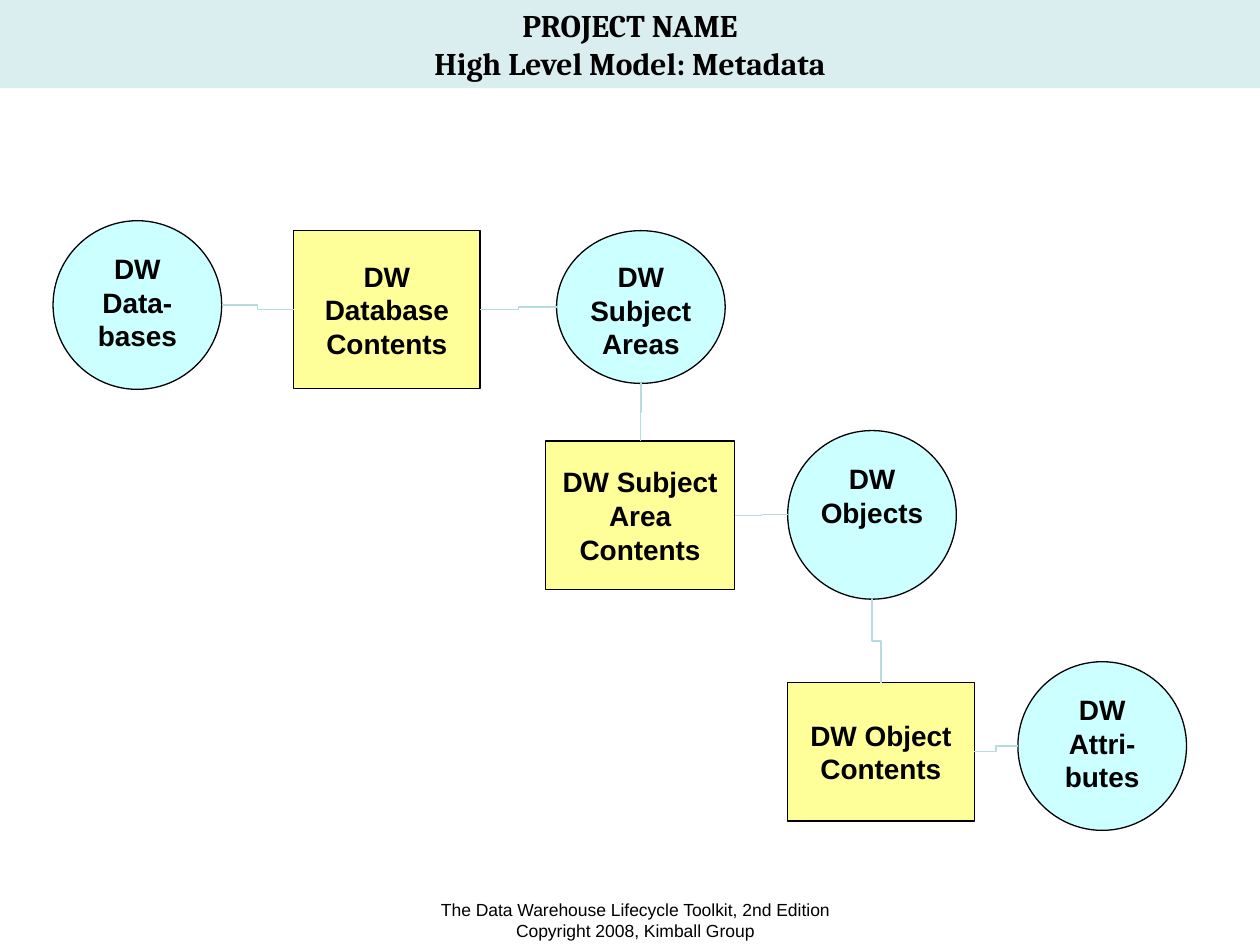
from pptx import Presentation
from pptx import util as u
from pptx.dml import color
from pptx.enum import shapes, text
from pptx.oxml import xmlchemy as xml

INK, BAND, WIRE = "000000", "DAEDEF", "B6DCDF"
OVAL, RECT = shapes.MSO_SHAPE.OVAL, shapes.MSO_SHAPE.RECTANGLE
TOP, MID = text.MSO_ANCHOR.TOP, text.MSO_ANCHOR.MIDDLE

# kind: preset shape, fill, anchor, side inset in cm
KINDS = {"entity": (OVAL, "CCFFFF", TOP, 0.13),
         "link": (RECT, "FFFF99", MID, 0.25)}

# name: kind, text, left, top, width, height in cm within the model area
NODES = {
    "bases": ("entity", "DW Data- bases", 0, 0, 3.4, 3.4),
    "base": ("link", "DW Database Contents", 4.85, 0.2, 3.76, 3.18),
    "areas": ("entity", "DW Subject Areas", 10.15, 0.2, 3.4, 3.08),
    "area": ("link", "DW Subject Area Contents", 9.93, 4.44, 3.81, 3),
    "objects": ("entity", "DW Objects", 14.81, 4.23, 3.4, 3.4),
    "object": ("link", "DW Object Contents", 14.81, 9.31, 3.76, 2.79),
    "parts": ("entity", "DW Attri-butes", 19.45, 8.89, 3.4, 3.4),
}

# from, to, runs downward
WIRES = [("bases", "base", False), ("base", "areas", False),
         ("areas", "area", True), ("area", "objects", False),
         ("objects", "object", True), ("object", "parts", False)]


def rgb(code):
    return color.RGBColor.from_string(code)


def apply(item, values):
    for key, value in values.items():
        setattr(item, key, value)


def paint(shape, fill):
    shape.fill.solid()
    shape.fill.fore_color.rgb = rgb(fill)
    shape.shadow.inherit = False


def write(shape, lines, size, face="Arial", bold=True, anchor=TOP, side=0.25):
    frame = shape.text_frame
    apply(frame, {
        "word_wrap": True, "auto_size": text.MSO_AUTO_SIZE.NONE,
        "vertical_anchor": anchor,
        "margin_left": u.Cm(side), "margin_right": u.Cm(side),
        "margin_top": u.Cm(0.13), "margin_bottom": u.Cm(0.13)})
    frame.text = "\n".join(lines)
    for para in frame.paragraphs:
        para.alignment = text.PP_ALIGN.CENTER
        apply(para.font, {"size": u.Pt(size), "name": face, "bold": bold})
        para.font.color.rgb = rgb(INK)


def header(slide, left, top, width, height):
    title = slide.shapes.title
    apply(title, {"left": u.Cm(left), "top": u.Cm(top),
                  "width": u.Cm(width), "height": u.Cm(height)})
    paint(title, BAND)
    write(title, ["PROJECT NAME", "High Level Model: Metadata"], 18, "Cambria")


def node(slide, kind, label, *box):
    form, fill, anchor, side = KINDS[kind]
    shape = slide.shapes.add_shape(form, *map(u.Cm, box))
    paint(shape, fill)
    shape.line.color.rgb = rgb(INK)
    shape.line.width = u.Pt(0.75)
    write(shape, [label], 16, anchor=anchor, side=side)
    return shape


def wire(slide, a, b, down):
    if down:
        x1, y1 = a.left + a.width // 2, a.top + a.height
        x2, y2 = b.left + b.width // 2, b.top
        # Lay the elbow flat about its centre, then turn it upright
        mx, my = (x1 + x2) // 2, (y1 + y2) // 2
        dx, dy = (x2 - x1) // 2, (y2 - y1) // 2
        ends = mx - dy, my + dx, mx + dy, my - dx
    else:
        ends = (a.left + a.width, a.top + a.height // 2,
                b.left, b.top + b.height // 2)
    line = slide.shapes.add_connector(shapes.MSO_CONNECTOR.ELBOW, *ends)
    line.line.color.rgb = rgb(WIRE)
    line.line.width = u.Pt(0.75)
    props = line._element.spPr
    if down:
        props.xfrm.set("rot", str(90 * 60000))
    props.append(xml.OxmlElement("a:effectLst"))


def model(slide, left, top):
    made = {name: node(slide, kind, label, left + x, top + y, w, h)
            for name, (kind, label, x, y, w, h) in NODES.items()}
    for start, end, down in WIRES:
        wire(slide, made[start], made[end], down)


def footer(slide, *box):
    note = slide.shapes.add_textbox(*map(u.Cm, box))
    write(note, ["The Data Warehouse Lifecycle Toolkit, 2nd Edition",
                 "Copyright 2008, Kimball Group"], 10, bold=False)


def main():
    deck = Presentation()
    deck.slide_width, deck.slide_height = u.Cm(25.4), u.Cm(19.05)
    slide = deck.slides.add_slide(deck.slide_layouts[5])
    header(slide, 0, 0, 25.4, 1.78)
    model(slide, 1.07, 4.45)
    footer(slide, 8.04, 17.99, 9.53, 1.06)
    deck.save("out.pptx")


if __name__ == "__main__":
    main()
